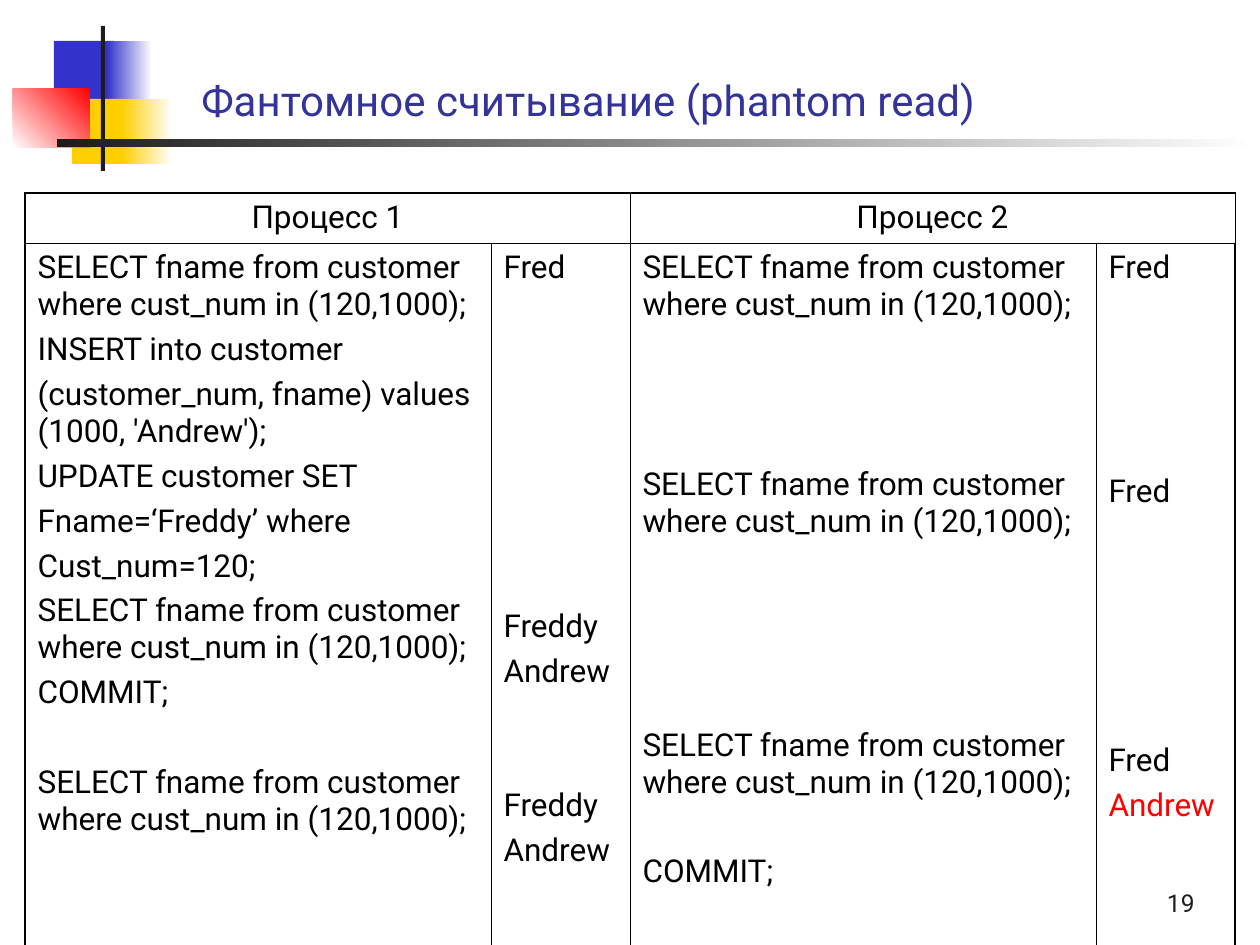
from lxml import etree
from pptx import Presentation
from pptx.dml.color import RGBColor
from pptx.enum.shapes import MSO_SHAPE as Shape
from pptx.enum.text import MSO_ANCHOR as Anchor, PP_ALIGN as Align
from pptx.oxml.ns import qn
from pptx.util import Emu, Pt

FONT = "Roboto"
BLACK, WHITE, RED, DARK = "000000", "FFFFFF", "FF0000", "1C1C1C"
BLUE, YELLOW, NAVY = "3333CC", "FFCF01", "333399"
PAGE_SIZE = (1260, 945)

DECOR = [
    ((54, 41, 60, 65), [BLUE], 0),
    ((107, 41, 45, 65), [BLUE, WHITE], 0),
    ((72, 99, 58, 65), [YELLOW], 0),
    ((122, 99, 50, 65), [YELLOW, WHITE], 0),
    ((13, 89, 77, 59), [WHITE, RED], 45),
    ((101, 26, 4, 145), [DARK], 0),
    ((57, 139, 1199, 8), [DARK, WHITE], 0),
]

TITLE = ("Фантомное считывание (phantom read)", (189, 42, 1071, 89),
         {"size": 24, "color": NAVY}, Align.LEFT)
NUMBER = ("19", (945, 861, 262, 63), {"size": 14, "color": DARK}, Align.RIGHT)

TABLE_AT = (25, 193)
COLUMNS = [466, 139, 466, 139]
ROWS = [50, 780]
HEADERS = ["Процесс 1", "Процесс 2"]
SELECT = "SELECT fname from customer where cust_num in (120,1000);"
STEPS = [
    [(SELECT, 0), ("INSERT into customer", 0),
     ("(customer_num, fname) values (1000, 'Andrew');", 0),
     ("UPDATE customer SET", 0), ("Fname=‘Freddy’ where", 0),
     ("Cust_num=120;", 0), (SELECT, 0), ("COMMIT;", 0), (SELECT, 1)],
    [("Fred", 0), ("Freddy", 7), ("Andrew", 0), ("Freddy", 2), ("Andrew", 0)],
    [(SELECT, 0), (SELECT, 3), (SELECT, 4), ("COMMIT;", 1)],
    [("Fred", 0), ("Fred", 4), ("Fred", 5), ("Andrew", 0, RED)],
]
PARA_GAP, LINE_STEP = 4.5, 25.6
THIN, THICK = 0.45, 1.08


def px(value):
    """Turn px into EMU."""
    return Emu(round(value * 914400 / 126))


def rgb(color):
    """Turn a hex string into a colour."""
    return RGBColor.from_string(color)


def write(para, text, size=18, color=BLACK, align=Align.LEFT):
    """Put one formatted span of text into a paragraph."""
    para.alignment = align
    span = para.add_run()
    span.text = text
    for name, value in {"name": FONT, "size": Pt(size), "bold": False}.items():
        setattr(span.font, name, value)
    span.font.color.rgb = rgb(color)


def add_block(page, place, colors, angle):
    """Draw a borderless rectangle with a plain or two-colour fill."""
    block = page.shapes.add_shape(Shape.RECTANGLE, *map(px, place))
    block.shadow.inherit = False
    block.line.fill.background()
    if len(colors) == 1:
        block.fill.solid()
        block.fill.fore_color.rgb = rgb(colors[0])
        return
    block.fill.gradient()
    block.fill.gradient_angle = angle
    for stop, color in zip(block.fill.gradient_stops, colors):
        stop.color.rgb = rgb(color)


def add_text(page, text, place, style, align):
    """Add a bottom-anchored text box."""
    frame = page.shapes.add_textbox(*map(px, place)).text_frame
    frame.word_wrap = True
    frame.vertical_anchor = Anchor.BOTTOM
    write(frame.paragraphs[0], text, align=align, **style)


def frame_cell(cell, row, column):
    """Give a cell thick outer and thin inner borders and no fill."""
    outer = {"lnL": column == 0, "lnR": column == len(COLUMNS) - 1,
             "lnT": row == 0, "lnB": row == len(ROWS) - 1}
    props = cell._tc.get_or_add_tcPr()
    for tag, thick in outer.items():
        line = etree.SubElement(props, qn(f"a:{tag}"), w=str(Pt(THICK if thick else THIN)))
        fill = etree.SubElement(line, qn("a:solidFill"))
        etree.SubElement(fill, qn("a:srgbClr"), val=BLACK)
    cell.fill.background()


def add_steps(cell, steps):
    """Write the steps of one column, spaced by the lines they skip."""
    frame = cell.text_frame
    for index, (text, skipped, *color) in enumerate(steps):
        para = frame.add_paragraph() if index else frame.paragraphs[0]
        if index:
            para.space_before = Pt(PARA_GAP + skipped * LINE_STEP)
        write(para, text, color=color[0] if color else BLACK)


def add_process_table(page):
    """Build the table of both processes."""
    size = (sum(COLUMNS), sum(ROWS))
    table = page.shapes.add_table(len(ROWS), len(COLUMNS), *map(px, TABLE_AT + size)).table
    table.first_row = table.horz_banding = False
    for column, width in zip(table.columns, COLUMNS):
        column.width = px(width)
    for row, height in zip(table.rows, ROWS):
        row.height = px(height)
    for row in range(len(ROWS)):
        for column in range(len(COLUMNS)):
            frame_cell(table.cell(row, column), row, column)
    for index, text in enumerate(HEADERS):
        header = table.cell(0, 2 * index)
        header.merge(table.cell(0, 2 * index + 1))
        write(header.text_frame.paragraphs[0], text, align=Align.CENTER)
    for column, steps in enumerate(STEPS):
        add_steps(table.cell(1, column), steps)


def main():
    """Build and save the deck."""
    deck = Presentation()
    deck.slide_width, deck.slide_height = map(px, PAGE_SIZE)
    page = deck.slides.add_slide(deck.slide_layouts[6])
    for place, colors, angle in DECOR:
        add_block(page, place, colors, angle)
    add_text(page, *TITLE)
    add_process_table(page)
    add_text(page, *NUMBER)
    deck.save("out.pptx")


if __name__ == "__main__":
    main()
